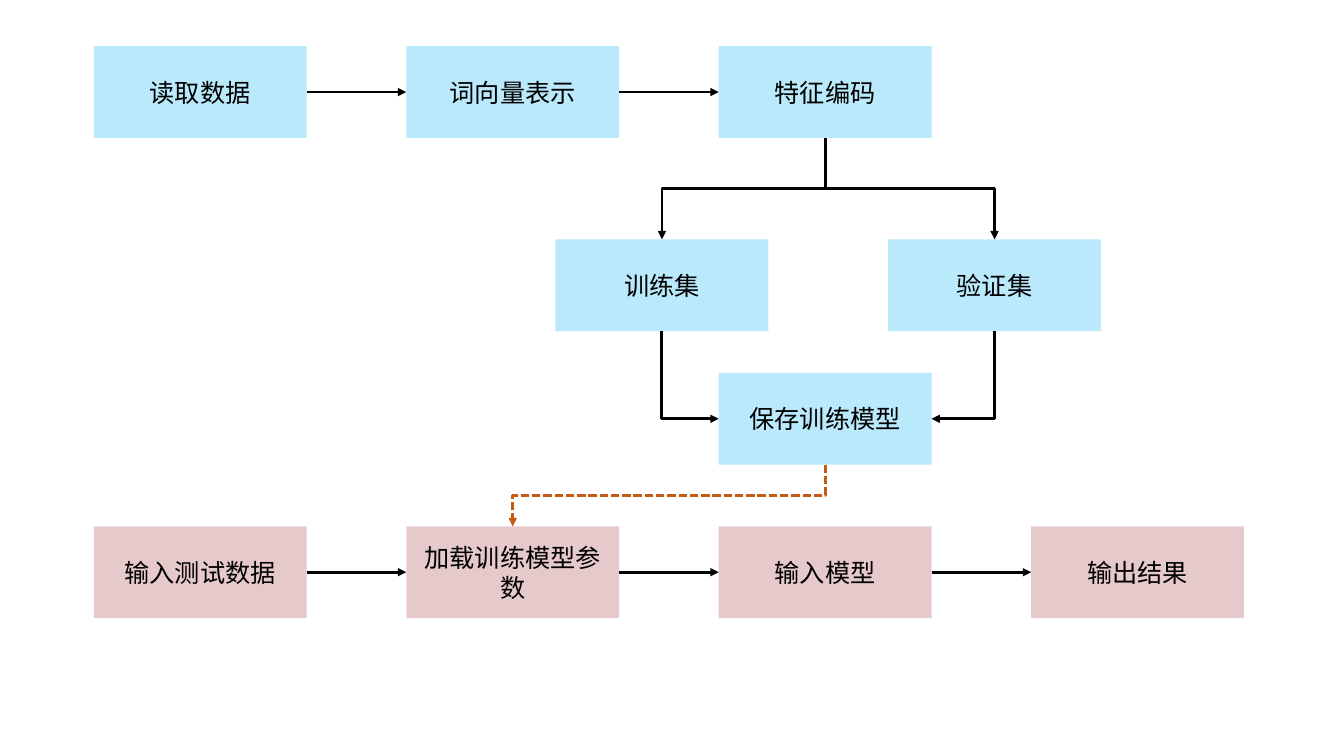
import dataclasses

import pptx
import pptx.dml.color
import pptx.enum.dml
import pptx.enum.shapes
import pptx.enum.text
import pptx.oxml
import pptx.oxml.ns
import pptx.util

Pt = pptx.util.Pt
RGB = pptx.dml.color.RGBColor.from_string
qn = pptx.oxml.ns.qn
TOP, LEFT, BOTTOM, RIGHT = range(4)


@dataclasses.dataclass(frozen=True)
class Theme:
    training: str = "75D5F7"
    testing: str = "CF9596"
    ink: str = "000000"
    handover: str = "C55A11"
    font: str = "Noto Sans CJK SC"
    text_size: float = 18
    line_width: float = 2


THEME = Theme()

# Layout in points
STEP_WIDTH, STEP_HEIGHT = 152, 65.5
COLUMNS = [67 + 223.2 * index for index in range(4)]
READ_ROW, SPLIT_ROW, SAVE_ROW, TEST_ROW = 33, 171, 266.4, 376
TRAIN_LEFT, VALIDATION_LEFT = 396.8, 634.4


def add_xml(parent, tag, **attributes):
    child = pptx.oxml.parse_xml(f"<a:{tag} {pptx.oxml.ns.nsdecls('a')}/>")
    for name, value in attributes.items():
        child.set(name, value)
    parent.append(child)


def add_step(slide, label, left, top, color):
    """Half-transparent process box with a centred label."""
    step = slide.shapes.add_shape(
        pptx.enum.shapes.MSO_SHAPE.FLOWCHART_PROCESS,
        Pt(left), Pt(top), Pt(STEP_WIDTH), Pt(STEP_HEIGHT))
    step.shadow.inherit = False
    step.fill.solid()
    step.fill.fore_color.rgb = RGB(color)
    add_xml(step._element.spPr.find(f".//{qn('a:srgbClr')}"), "alpha", val="50000")
    step.line.fill.background()

    frame = step.text_frame
    frame.word_wrap = True
    frame.vertical_anchor = pptx.enum.text.MSO_ANCHOR.MIDDLE
    paragraph = frame.paragraphs[0]
    paragraph.alignment = pptx.enum.text.PP_ALIGN.CENTER
    run = paragraph.add_run()
    run.text = label
    for name, value in {"name": THEME.font, "size": Pt(THEME.text_size)}.items():
        setattr(run.font, name, value)
    run.font.color.rgb = RGB(THEME.ink)
    add_xml(run._r.get_or_add_rPr(), "ea", typeface=THEME.font)
    return step


def add_arrow(slide, kind, start, start_side, end, end_side, color=THEME.ink, dash=None):
    arrow = slide.shapes.add_connector(kind, 0, 0, 0, 0)
    arrow.begin_connect(start, start_side)
    arrow.end_connect(end, end_side)
    arrow.line.color.rgb = RGB(color)
    arrow.line.width = Pt(THEME.line_width)
    if dash:
        arrow.line.dash_style = dash
    add_xml(arrow.line._get_or_add_ln(), "tailEnd", type="triangle")
    add_xml(arrow._element.spPr, "effectLst")
    return arrow


def add_straight_arrow(slide, start, end):
    add_arrow(slide, pptx.enum.shapes.MSO_CONNECTOR.STRAIGHT, start, RIGHT, end, LEFT)


def add_bent_arrow(slide, start, end, end_side, **style):
    """Elbow that leaves the bottom of start; its frame is turned a quarter."""
    arrow = add_arrow(slide, pptx.enum.shapes.MSO_CONNECTOR.ELBOW,
                      start, BOTTOM, end, end_side, **style)
    goes_left = arrow.end_x < arrow.begin_x
    middle_x = (arrow.begin_x + arrow.end_x) // 2
    middle_y = (arrow.begin_y + arrow.end_y) // 2
    across, down = arrow.width, arrow.height
    frame = {"left": middle_x - down // 2, "top": middle_y - across // 2,
             "width": down, "height": across}
    for name, value in frame.items():
        setattr(arrow, name, value)
    turn = arrow._element.spPr.find(qn("a:xfrm"))
    turn.set("rot", str((90 if goes_left else 270) * 60000))
    turn.set("flipH", "0" if goes_left else "1")
    turn.set("flipV", "0")
    if end_side != TOP:
        arrow._element.spPr.find(qn("a:prstGeom")).set("prst", "bentConnector2")


def main():
    deck = pptx.Presentation()
    deck.slide_width, deck.slide_height = Pt(960), Pt(540)
    slide = deck.slides.add_slide(deck.slide_layouts[6])

    # Training steps
    prepare = [add_step(slide, label, left, READ_ROW, THEME.training)
               for label, left in zip(("读取数据", "词向量表示", "特征编码"), COLUMNS)]
    train = add_step(slide, "训练集", TRAIN_LEFT, SPLIT_ROW, THEME.training)
    validation = add_step(slide, "验证集", VALIDATION_LEFT, SPLIT_ROW, THEME.training)
    save = add_step(slide, "保存训练模型", COLUMNS[2], SAVE_ROW, THEME.training)

    # Testing steps
    test_labels = ("输入测试数据", "加载训练模型参数", "输入模型", "输出结果")
    test = [add_step(slide, label, left, TEST_ROW, THEME.testing)
            for label, left in zip(test_labels, COLUMNS)]

    # Arrows along the rows
    for row in (prepare, test):
        for start, end in zip(row, row[1:]):
            add_straight_arrow(slide, start, end)

    # Split into two sets, then join at the saved model
    for subset, save_side in ((train, LEFT), (validation, RIGHT)):
        add_bent_arrow(slide, prepare[-1], subset, TOP)
        add_bent_arrow(slide, subset, save, save_side)

    # Saved model passes to testing
    add_bent_arrow(slide, save, test[1], TOP, color=THEME.handover,
                   dash=pptx.enum.dml.MSO_LINE.SQUARE_DOT)

    deck.save("out.pptx")


if __name__ == "__main__":
    main()
